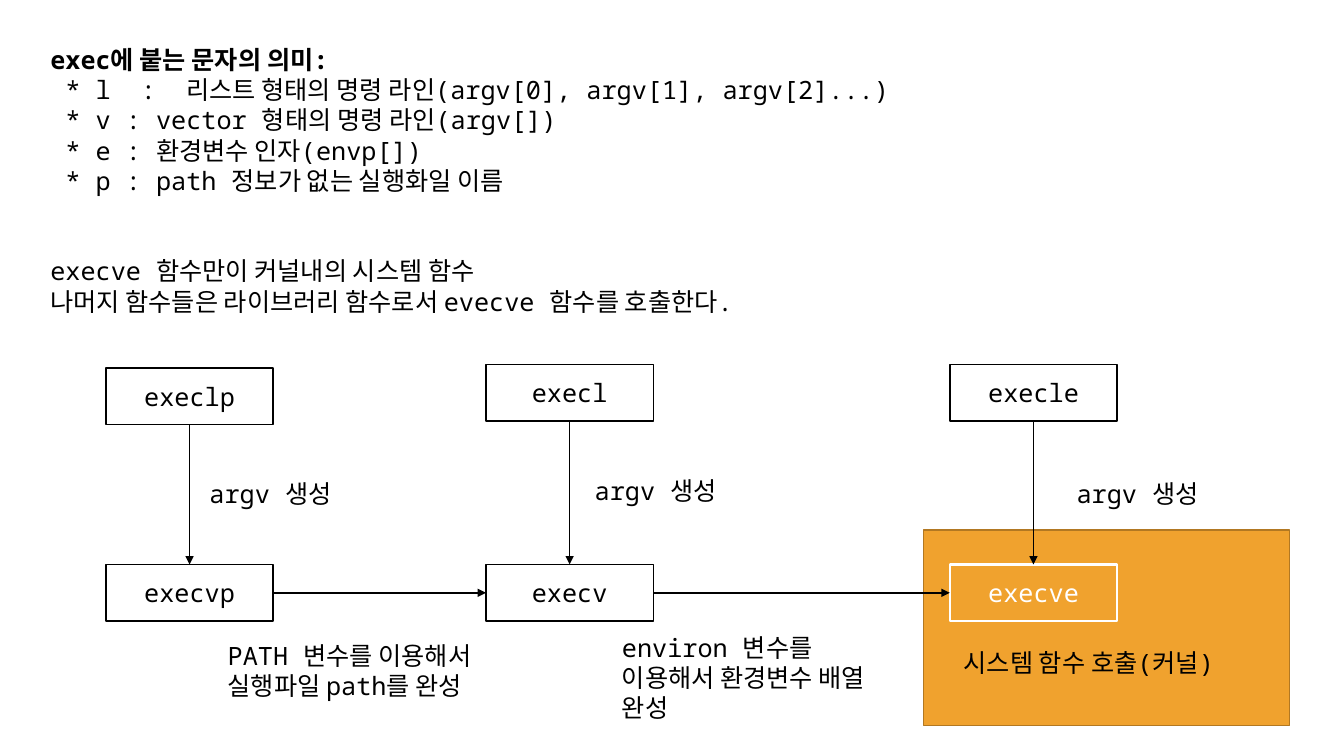
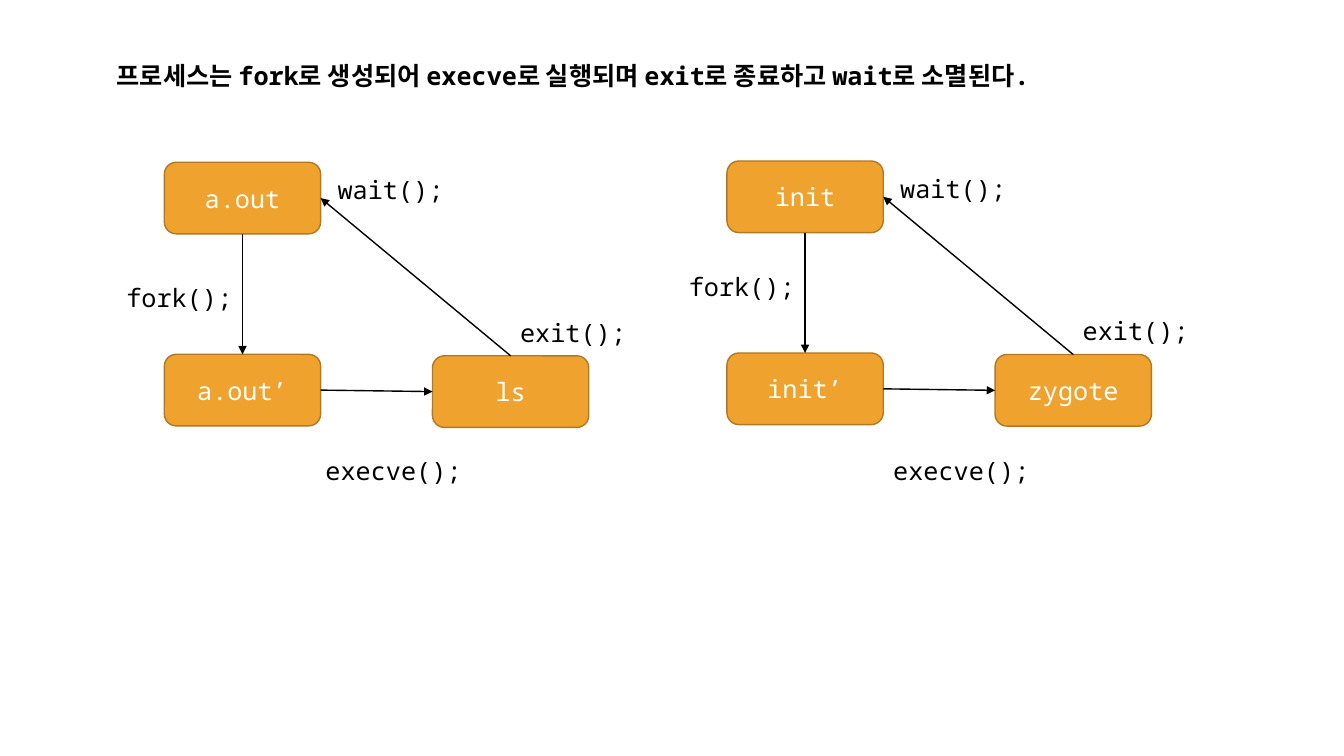
import lxml.etree
import pptx
import pptx.dml.color
import pptx.enum.shapes
import pptx.enum.text
import pptx.oxml.ns
import pptx.util

# Shared style
FONT, SIZE = "Noto Sans Mono", 18
BLACK, WHITE, ORANGE, BROWN = "000000", "FFFFFF", "F0A22E", "B27822"
RECT = pptx.enum.shapes.MSO_SHAPE.RECTANGLE
ROUNDED = pptx.enum.shapes.MSO_SHAPE.ROUNDED_RECTANGLE
ALIGN = pptx.enum.text.PP_ALIGN
TOP, LEFT, BOTTOM, RIGHT = range(4)

# Lengths are percentages of the slide's width and height
WIDTH, HEIGHT = pptx.util.Inches(13.33), pptx.util.Inches(7.5)
LINE_H, TWO_LINES_H = 5.33, 9.47


def place(x, y, w, h):
    return [round(share * side / 100)
            for share, side in zip((x, y, w, h), (WIDTH, HEIGHT) * 2)]


def color(value):
    return pptx.dml.color.RGBColor.from_string(value)


def write(p, text, ink=BLACK, bold=False, align=ALIGN.LEFT, before=0):
    """Put formatted text in a paragraph."""
    p.alignment = align
    if before:
        p.space_before = pptx.util.Pt(before)
    r = p.add_run()
    r.text = text
    r.font.name, r.font.size = FONT, pptx.util.Pt(SIZE)
    r.font.bold = bold
    r.font.color.rgb = color(ink)


def add_label(s, text, x, y, w, h=LINE_H, **style):
    tf = s.shapes.add_textbox(*place(x, y, w, h)).text_frame
    tf.word_wrap = True
    write(tf.paragraphs[0], text, **style)
    return tf


def add_box(s, text, x, y, w, h, kind=RECT, fill=WHITE, line=BLACK,
            weight=1, ink=BLACK):
    sp = s.shapes.add_shape(kind, *place(x, y, w, h))
    sp.shadow.inherit = False
    sp.fill.solid()
    sp.fill.fore_color.rgb = color(fill)
    sp.line.color.rgb = color(line)
    sp.line.width = pptx.util.Pt(weight)
    if text:
        tf = sp.text_frame
        tf.vertical_anchor = pptx.enum.text.MSO_ANCHOR.MIDDLE
        write(tf.paragraphs[0], text, ink=ink, align=ALIGN.CENTER)
    return sp


def add_arrow(s, start, start_side, end, end_side):
    """Join two boxes with an arrow."""
    straight = pptx.enum.shapes.MSO_CONNECTOR.STRAIGHT
    line = s.shapes.add_connector(straight, 0, 0, 0, 0)
    line.begin_connect(start, start_side)
    line.end_connect(end, end_side)
    line.line.color.rgb = color(BLACK)
    line.line.width = pptx.util.Pt(1)
    qn = pptx.oxml.ns.qn
    ln = line.line._get_or_add_ln()
    lxml.etree.SubElement(ln, qn("a:tailEnd"), type="triangle")
    lxml.etree.SubElement(line._element.spPr, qn("a:effectLst"))


def add_exec_slide(s):
    # Kernel area and explanation
    add_box(s, "", 68.72, 70.13, 27.23, 25.87, fill=ORANGE, line=BROWN)
    tf = add_label(s, "exec에 붙는 문자의 의미:", 3, 5.2, 72.47, 41.73, bold=True)
    for text, before in (
            (" * l  :  리스트 형태의 명령 라인(argv[0], argv[1], argv[2]...)", 0),
            (" * v : vector 형태의 명령 라인(argv[])", 0),
            (" * e : 환경변수 인자(envp[])", 0),
            (" * p : path 정보가 없는 실행화일 이름", 0),
            ("execve 함수만이 커널내의 시스템 함수", 43),
            ("나머지 함수들은 라이브러리 함수로서 evecve 함수를 호출한다.", 0)):
        write(tf.add_paragraph(), text, before=before)

    # Columns of calls: each list form builds argv for the vector form below
    kernel_style = dict(fill=ORANGE, line=WHITE, weight=1.5, ink=WHITE)
    previous = None
    for x, upper, upper_y, lower, style, note_x, note_y in (
            (7.88, "execlp", 48.67, "execvp", {}, 14.85, 62.67),
            (36.16, "execl", 48.2, "execv", {}, 43.51, 62.27),
            (70.67, "execle", 48.2, "execve", kernel_style, 79.37, 62.67)):
        list_call = add_box(s, upper, x, upper_y, 12.45, 7.5)
        vector_call = add_box(s, lower, x, 74.67, 12.45, 7.5, **style)
        add_arrow(s, list_call, BOTTOM, vector_call, TOP)
        add_label(s, "argv 생성", note_x, note_y, 12.6)
        if previous:
            add_arrow(s, previous, RIGHT, vector_call, LEFT)
        previous = vector_call

    # Notes under the lower row
    for text, x, y, h in (
            ("PATH 변수를 이용해서 실행파일 path를 완성", 16.2, 84, TWO_LINES_H),
            ("environ 변수를 이용해서 환경변수 배열 완성", 45.54, 82.93, TWO_LINES_H),
            ("시스템 함수 호출(커널)", 70.97, 84.93, LINE_H)):
        add_label(s, text, x, y, 22.06, h)


def add_life_cycle(s, names, x, y, fork_y, execve_x):
    """Draw parent, forked child and executed program as a loop."""
    parent, child, program = (
        add_box(s, name, x + dx, y + dy, 11.63, 9.47, kind=ROUNDED,
                fill=ORANGE, line=BROWN, ink=WHITE)
        for name, dx, dy in zip(names, (0, 0, 19.95), (0, 25.4, 25.6)))
    add_arrow(s, parent, BOTTOM, child, TOP)
    add_arrow(s, child, RIGHT, program, LEFT)
    add_arrow(s, program, TOP, parent, RIGHT)
    for text, left, top, align in (
            ("wait();", x + 12.15, y + 0.93, ALIGN.LEFT),
            ("exit();", x + 25.73, y + 19.8, ALIGN.LEFT),
            ("fork();", x - 9.75, fork_y, ALIGN.RIGHT),
            ("execve();", execve_x, 59.6, ALIGN.LEFT)):
        add_label(s, text, left, top, 15.53, align=align)


def add_process_slide(s):
    add_label(s, "프로세스는 fork로 생성되어 execve로 실행되며 exit로 종료하고 wait로 소멸된다.",
              7.95, 7.33, 81.7, bold=True)
    add_life_cycle(s, ("a.out", "a.out’", "ls"), 12.23, 21.47, 36.67, 23.48)
    add_life_cycle(s, ("init", "init’", "zygote"), 54.09, 21.3, 35.2, 65.72)


def main():
    prs = pptx.Presentation()
    prs.slide_width, prs.slide_height = WIDTH, HEIGHT
    for fill_slide in (add_exec_slide, add_process_slide):
        fill_slide(prs.slides.add_slide(prs.slide_layouts[6]))
    prs.save("out.pptx")


if __name__ == "__main__":
    main()
